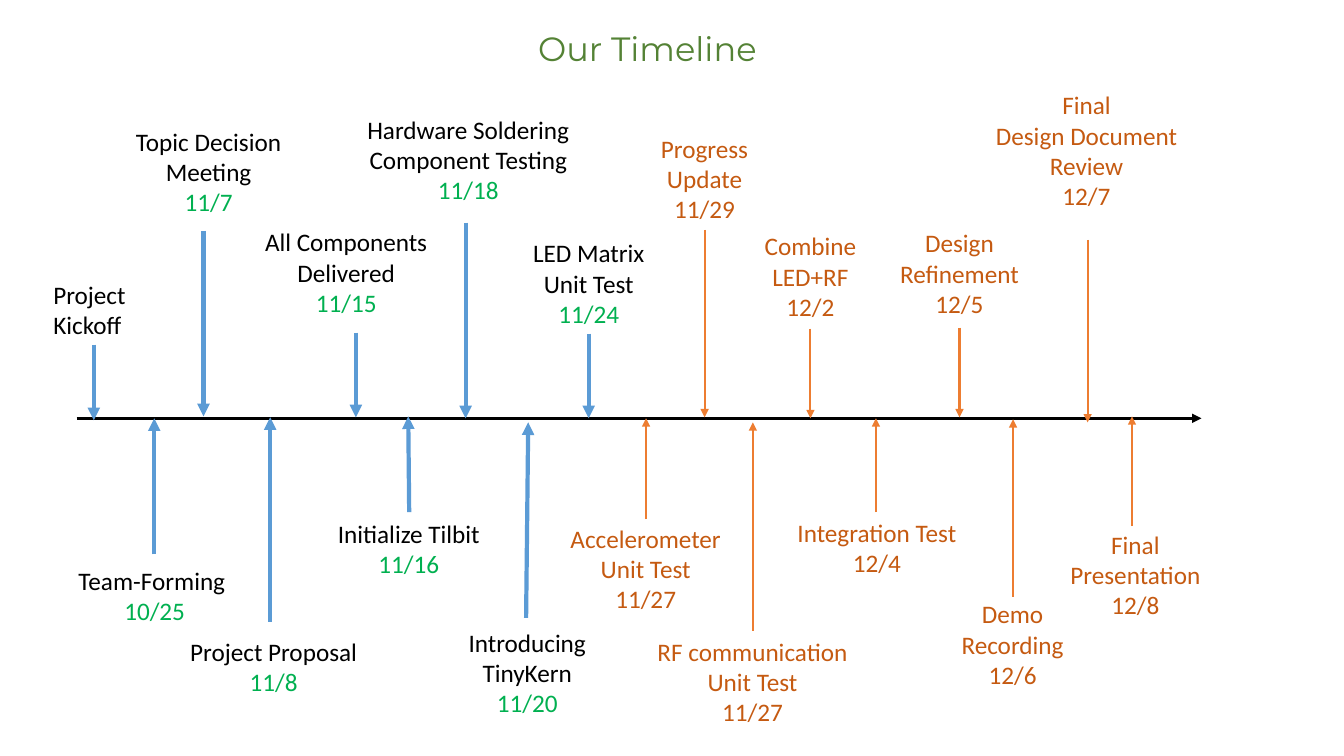
from collections import namedtuple

from lxml.etree import SubElement
from pptx import Presentation
from pptx.dml.color import RGBColor
from pptx.enum.shapes import MSO_CONNECTOR
from pptx.enum.text import MSO_AUTO_SIZE, PP_ALIGN
from pptx.oxml.ns import qn
from pptx.util import Pt

COLORS = {
    "title": "548235",
    "axis": "000000",
    "done": "000000",
    "done_date": "00B050",
    "done_arrow": "5B9BD5",
    "planned": "C55A11",
    "planned_date": "C55A11",
    "planned_arrow": "ED7D31",
}
ARROW_WEIGHT = {"done": 3, "planned": 1.5}
LINE_HEIGHT, LABEL_PADDING = 21.6, 7.8

# x runs from the start of the axis; top, start and tip run from the axis line.
# shift moves the label's centre off the arrow, lean moves the arrow's tip.
Milestone = namedtuple(
    "Milestone", "status lines x shift top width start tip lean", defaults=(0,))

MILESTONES = [
    Milestone("done", ["Project", "Kickoff"], 12.3, -2.5, -103, 67, -52.6, 1.4),
    Milestone("done", ["Team-Forming ", "10/25"], 55.5, 0.3, 101.5, 124.6, 97.2, 0),
    Milestone("done", ["Topic Decision", "Meeting", "11/7"],
              90.7, 3.6, -212.4, 119.5, -133.9, -1.4),
    Milestone("done", ["Project Proposal", "11/8"],
              138.3, 2.5, 151.9, 134.6, 145.4, -0.7),
    Milestone("done", ["All Components", "Delivered", "11/15"],
              199.5, -6.9, -140.4, 131.8, -61.2, -0.7),
    Milestone("done", ["Initialize Tilbit", "11/16"],
              237.6, -0.3, 67.7, 130.3, 67, -1.4, -0.7),
    Milestone("done", ["Hardware Soldering", "Component Testing", "11/18"],
              277.9, 1.9, -221, 160.6, -139.7, 0),
    Milestone("done", ["Introducing", "TinyKern", "11/20"],
              321.1, 0.8, 145.4, 99.4, 142.6, 2.9, 1.5),
    Milestone("done", ["LED Matrix", "Unit Test", "11/24"],
              365.8, 0, -132.5, 95, -60.5, 0),
    Milestone("planned", ["Accelerometer", "Unit Test", "11/27"],
              406.8, -0.3, 71.3, 123.1, 72, 0),
    Milestone("planned", ["Progress", "Update", "11/29"],
              448.6, 0, -207.4, 79.2, -134.6, -0.7),
    Milestone("planned", ["RF communication", "Unit Test", "11/27"],
              483.1, -0.3, 151.9, 151.9, 151.9, 2.9),
    Milestone("planned", ["Combine", "LED+RF", "12/2"],
              524.2, 0, -137.5, 80.6, -64.1, 0),
    Milestone("planned", ["Integration Test", "12/4"],
              571, 0.7, 67, 129.6, 67, 0),
    Milestone("planned", ["Design", "Refinement", "12/5"],
              630.7, 0, -139.7, 100.8, -64.8, -0.7),
    Milestone("planned", ["Demo", "Recording", "12/6"],
              668.9, -0.3, 125.3, 88.6, 127.4, 0.7),
    Milestone("planned", ["Final", "Design Document", "Review", "12/7"],
              722.2, -0.8, -238.3, 145.4, -127.4, 2.9),
    Milestone("planned", ["Final", "Presentation", "12/8"],
              753.9, 2.4, 75.6, 108.7, 77, -1.4),
]


def add_arrow(page, start, end, color, weight):
    arrow = page.shapes.add_connector(
        MSO_CONNECTOR.STRAIGHT, *(Pt(value) for value in (*start, *end)))
    arrow.line.color.rgb = RGBColor.from_string(color)
    arrow.line.width = Pt(weight)
    properties = arrow._element.spPr
    SubElement(properties.find(qn("a:ln")), qn("a:tailEnd"), type="triangle")
    SubElement(properties, qn("a:effectLst"))


def add_text(page, box, lines, align, font_name, size):
    """Add an unwrapped text box; lines holds (text, colour) pairs."""
    frame = page.shapes.add_textbox(*(Pt(value) for value in box)).text_frame
    frame.word_wrap = False
    frame.auto_size = MSO_AUTO_SIZE.SHAPE_TO_FIT_TEXT
    for index, (text, color) in enumerate(lines):
        para = frame.paragraphs[0] if index == 0 else frame.add_paragraph()
        para.alignment = align
        span = para.add_run()
        span.text = text
        for name, value in {"name": font_name, "size": Pt(size)}.items():
            setattr(span.font, name, value)
        span.font.color.rgb = RGBColor.from_string(color)


def draw_title(page, box):
    add_text(page, box, [("Our Timeline", COLORS["title"])],
             PP_ALIGN.LEFT, "Montserrat", 24)


def draw_milestone(page, left, axis_y, milestone):
    """Draw one label and the arrow from it to the axis."""
    status = milestone.status
    x = left + milestone.x
    add_arrow(page, (x, axis_y + milestone.start),
              (x + milestone.lean, axis_y + milestone.tip),
              COLORS[status + "_arrow"], ARROW_WEIGHT[status])
    dated = milestone.lines[-1][0].isdigit()
    lines = [(text, COLORS[status + "_date" if text[0].isdigit() else status])
             for text in milestone.lines]
    box = (x + milestone.shift - milestone.width / 2, axis_y + milestone.top,
           milestone.width, len(lines) * LINE_HEIGHT + LABEL_PADDING)
    add_text(page, box, lines, PP_ALIGN.CENTER if dated else PP_ALIGN.LEFT,
             "Calibri", 18)


def draw_timeline(page, box):
    """Draw the axis across the middle of the box, then every milestone."""
    left, top, width, height = box
    axis_y = top + height / 2
    add_arrow(page, (left, axis_y), (left + width, axis_y), COLORS["axis"], 2.25)
    for milestone in MILESTONES:
        draw_milestone(page, left, axis_y, milestone)


def main():
    deck = Presentation()
    deck.slide_width, deck.slide_height = Pt(960), Pt(540)
    page = deck.slides.add_slide(deck.slide_layouts[6])
    draw_title(page, (377.3, 16.6, 184.3, 36))
    draw_timeline(page, (54.7, 60.4, 803.5, 476.8))
    deck.save("out.pptx")


if __name__ == "__main__":
    main()
